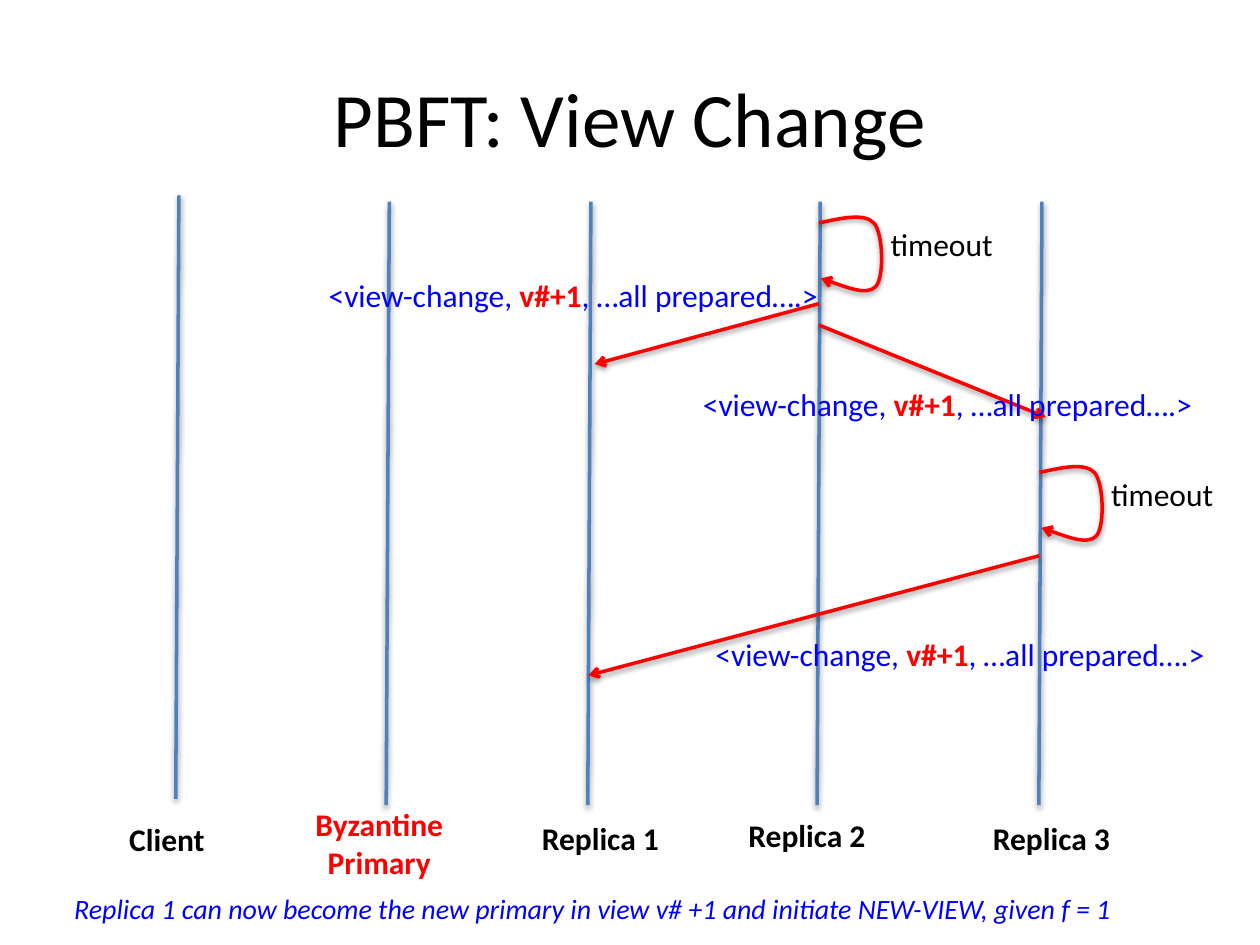
from lxml import etree
from pptx import Presentation, util as u
from pptx.dml.color import RGBColor
from pptx.enum import shapes, text
from pptx.oxml import parse_xml
from pptx.oxml.ns import nsdecls, qn

C = {"black": "000000", "blue": "0000FF", "red": "FF0000", "line": "4F81BD"}

prs = Presentation()
prs.slide_width, prs.slide_height = u.Inches(10), u.Inches(7.5)
s = prs.slides.add_slide(prs.slide_layouts[6])
cell = prs.slide_width // 100  # grid of 100 columns by 75 rows


def add_text(col, row, cols, rows, paras, size=18, align="LEFT", wrap=False):
    """Each paragraph is a list of (text, colour, style) runs."""
    tf = s.shapes.add_textbox(*[int(v * cell) for v in (col, row, cols, rows)]).text_frame
    tf.word_wrap = wrap
    if wrap:
        tf.vertical_anchor = text.MSO_ANCHOR.MIDDLE
    for i, runs in enumerate(paras):
        p = tf.add_paragraph() if i else tf.paragraphs[0]
        p.alignment = text.PP_ALIGN[align]
        for words, colour, style in runs:
            r = p.add_run()
            r.text = words
            r.font.name, r.font.size = "Calibri", u.Pt(size)
            r.font.bold, r.font.italic = style == "bold", style == "italic"
            r.font.color.rgb = RGBColor.from_string(C[colour])


def style_line(sp, colour, arrow=False):
    sp.line.color.rgb = RGBColor.from_string(C[colour])
    sp.line.width = u.Pt(2)
    if arrow:
        etree.SubElement(sp.line._get_or_add_ln(), qn("a:tailEnd"), type="arrow")
    for old in sp._element.spPr.findall(qn("a:effectLst")):
        sp._element.spPr.remove(old)
    sp._element.spPr.append(parse_xml(
        f'<a:effectLst {nsdecls("a")}><a:outerShdw blurRad="40000" dist="20000" '
        'dir="5400000" rotWithShape="0"><a:srgbClr val="000000"><a:alpha val="38000"/>'
        '</a:srgbClr></a:outerShdw></a:effectLst>'))


# Title
add_text(5, 3, 90, 12.5, [[("PBFT: View Change", "black", "")]], 44, "CENTER", True)

# Lifelines, each leaning slightly to the left, with their names
lifelines = [
    (14.2, 15.5, 9.2, 64.6, 8.1, ["Client"], "black"),
    (30.9, 16, 23.9, 63.4, 12.4, ["Byzantine", "Primary"], "red"),
    (46.9, 16, 41.9, 64.5, 11.5, ["Replica 1"], "black"),
    (65.1, 16, 58.3, 64.3, 11.5, ["Replica 2"], "black"),
    (82.7, 16, 77.7, 64.5, 11.5, ["Replica 3"], "black"),
]
for x, top, col, row, cols, names, colour in lifelines:
    ends = (x, top, x - 0.25, top + 47.9)
    style_line(s.shapes.add_connector(shapes.MSO_CONNECTOR.STRAIGHT,
                                      *[int(v * cell) for v in ends]), "line")
    add_text(col, row, cols, 4 if len(names) == 1 else 7.1,
             [[(n, colour, "bold")] for n in names], align="CENTER")

# Conclusion
add_text(4.9, 70.3, 86.8, 3.7, [[("Replica 1 can now become the new primary in view v# +1 "
                                  "and initiate NEW-VIEW, given f = 1 ", "blue", "italic")]], 16)

# Timeouts: a looping arrow of three curves from its start point
loop = [(1.8, -0.4), (3.6, -0.8), (4.35, 0), (5.1, 0.8), (5.2, 4.3), (4.5, 5.05),
        (3.8, 5.8), (0.15, 4.4), (0.15, 4.4)]
for x, y in [(65, 17.7), (82.5, 37.5)]:
    fb = s.shapes.build_freeform(int(x * cell), int(y * cell))
    fb.add_line_segments([(int((x + dx) * cell), int((y + dy) * cell)) for dx, dy in loop],
                         close=False)
    sp = fb.convert_to_shape()
    sp.fill.background()
    segments = list(sp._element.iter(qn("a:lnTo")))
    outline = segments[0].getparent()
    for i in range(0, len(segments), 3):
        curve = etree.SubElement(outline, qn("a:cubicBezTo"))
        for seg in segments[i:i + 3]:
            curve.append(seg[0])
            outline.remove(seg)
    style_line(sp, "red", True)
    add_text(x + 4.7, y - 0.3, 10.2, 4, [[("timeout", "black", "")]])

# View-change messages: arrow ends, then text position
messages = [
    ((65, 24.1, 47.2, 28.9), (25.1, 21.4)),
    ((65, 25.8, 83, 33.1), (54.8, 30.1)),
    ((82.5, 44.1, 46.7, 53.6), (55.8, 49.9)),
]
for ends, (col, row) in messages:
    style_line(s.shapes.add_connector(shapes.MSO_CONNECTOR.STRAIGHT,
                                      *[int(v * cell) for v in ends]), "red", True)
    add_text(col, row, 41.3, 7.1, [[("<view-change, ", "blue", ""), ("v#+1", "red", "bold"),
                                    (", …all prepared….> ", "blue", "")]])

prs.save("out.pptx")
